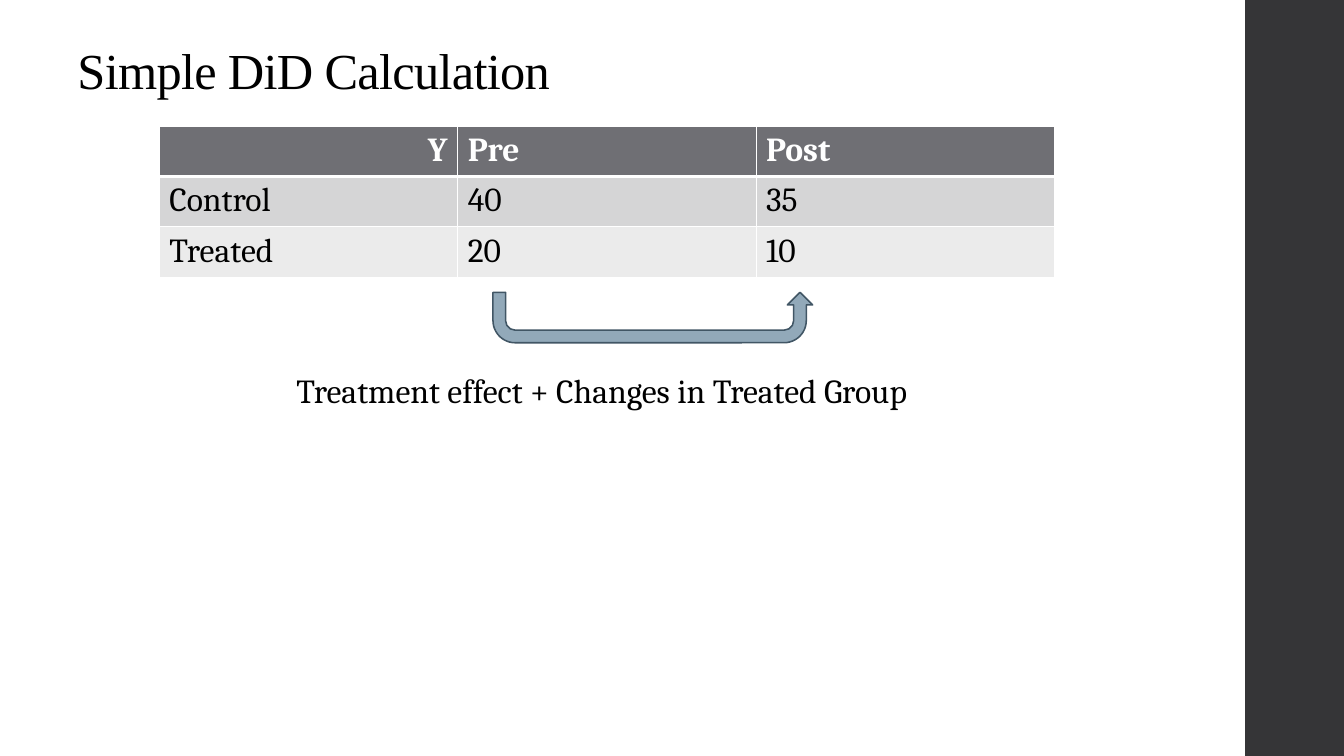
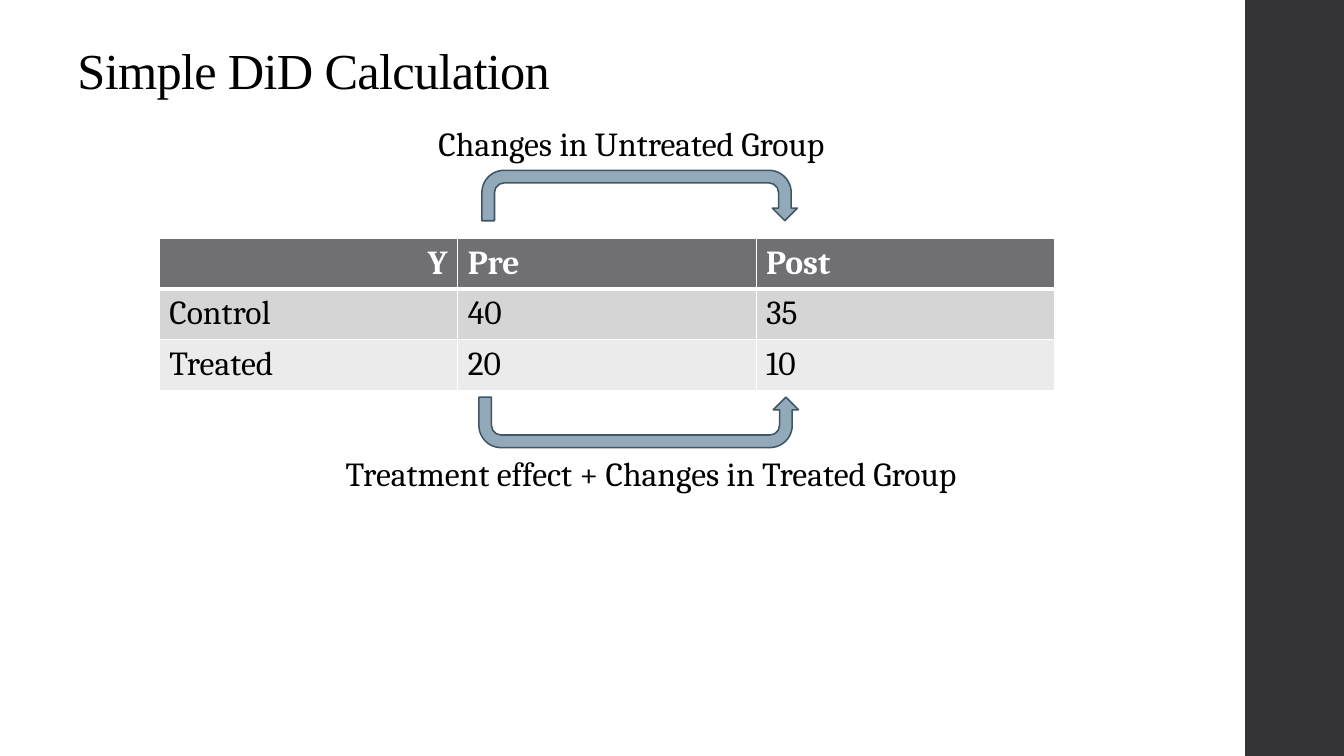
from lxml.etree import SubElement
from pptx import Presentation
from pptx.dml.color import RGBColor
from pptx.enum.shapes import MSO_SHAPE
from pptx.enum.text import MSO_ANCHOR, PP_ALIGN
from pptx.oxml.ns import qn
from pptx.util import Pt

PX = 9144  # 100 px to the inch
WIDTH, HEIGHT = 1333, 750

BLACK = RGBColor(0x00, 0x00, 0x00)
WHITE = RGBColor(0xFF, 0xFF, 0xFF)
BAND = RGBColor(0x35, 0x35, 0x37)
HEADER = RGBColor(0x6F, 0x6F, 0x74)
ROW_FILLS = [HEADER, RGBColor(0xD5, 0xD5, 0xD6), RGBColor(0xEB, 0xEB, 0xEB)]
ARROW_FILL = RGBColor(0x92, 0xA9, 0xB9)
ARROW_LINE = RGBColor(0x41, 0x56, 0x65)
TITLE_FONT, BODY_FONT = "Times New Roman", "Cambria"

TITLE = "Simple DiD Calculation"
OUTCOMES = [
    ("Y", "Pre", "Post"),
    ("Control", "40", "35"),
    ("Treated", "20", "10"),
]
TREATED = "Treatment effect + Changes in Treated Group"
UNTREATED = "Changes in Untreated Group"
TABLE_LEFT, COLUMN, ROW = 158, 296, 48
ARROW_HEIGHT = 50
ARROW_ADJUSTMENTS = (0.25, 0.25, 0.25, 0.44, 1)

# arrows: left, top, width, turned upwards; labels: text, left, top, width
SLIDES = [
    {
        "table_top": 125,
        "arrows": [(489, 290, 317, True)],
        "labels": [(TREATED, 284, 362, 728)],
    },
    {
        "table_top": 237,
        "arrows": [(475, 394, 317, True), (478, 169, 313, False)],
        "labels": [(TREATED, 333, 444, 728), (UNTREATED, 425, 117, 555)],
    },
]


def px(*lengths):
    return [length * PX for length in lengths]


def style(p, size, color=BLACK, font=BODY_FONT, bold=False):
    for r in p.runs:
        r.font.size, r.font.name, r.font.bold = Pt(size), font, bold
        r.font.color.rgb = color


def add_text(s, text, box, size=24, font=BODY_FONT):
    tf = s.shapes.add_textbox(*px(*box)).text_frame
    tf.word_wrap = True
    tf.text = text
    style(tf.paragraphs[0], size, font=font)
    return tf


def add_base(prs):
    """Add a slide with the side band and the title."""
    s = prs.slides.add_slide(prs.slide_layouts[6])
    band = s.shapes.add_shape(MSO_SHAPE.RECTANGLE, *px(1235, 0, WIDTH - 1235, HEIGHT))
    band.shadow.inherit = False
    band.fill.solid()
    band.fill.fore_color.rgb = BAND
    band.line.fill.background()

    tf = add_text(s, TITLE, (67, 37, 1142, 68), 36, TITLE_FONT)
    tf.vertical_anchor = MSO_ANCHOR.BOTTOM
    p = tf.paragraphs[0]
    p.line_spacing = 0.9
    p.runs[0].font._element.set("spc", "-50")
    return s


def add_borders(cell, top, bottom):
    tc_pr = cell._tc.get_or_add_tcPr()
    for side, width in (("L", 1), ("R", 1), ("T", top), ("B", bottom)):
        ln = SubElement(tc_pr, qn(f"a:ln{side}"), w=str(Pt(width)))
        fill = SubElement(ln, qn("a:solidFill"))
        SubElement(fill, qn("a:srgbClr"), val=str(WHITE))


def add_outcomes(s, top):
    rows, cols = len(OUTCOMES), len(OUTCOMES[0])
    box = px(TABLE_LEFT, top, cols * COLUMN, rows * ROW)
    table = s.shapes.add_table(rows, cols, *box).table
    for i, values in enumerate(OUTCOMES):
        header = i == 0
        for j, value in enumerate(values):
            cell = table.cell(i, j)
            add_borders(cell, 3 if i == 1 else 1, 3 if header else 1)
            cell.fill.solid()
            cell.fill.fore_color.rgb = ROW_FILLS[i]
            cell.text = value
            p = cell.text_frame.paragraphs[0]
            style(p, 24, WHITE if header else BLACK, bold=header)
            if header and j == 0:
                p.alignment = PP_ALIGN.RIGHT


def add_arrow(s, left, top, width, upwards):
    sp = s.shapes.add_shape(MSO_SHAPE.U_TURN_ARROW, *px(left, top, width, ARROW_HEIGHT))
    for i, value in enumerate(ARROW_ADJUSTMENTS):
        sp.adjustments[i] = value
    sp.shadow.inherit = False
    sp.fill.solid()
    sp.fill.fore_color.rgb = ARROW_FILL
    sp.line.color.rgb = ARROW_LINE
    sp.line.width = Pt(1.1)
    if upwards:
        sp.rotation = 180
        sp._element.spPr.xfrm.set("flipH", "1")


def main():
    prs = Presentation()
    prs.slide_width, prs.slide_height = px(WIDTH, HEIGHT)
    for content in SLIDES:
        s = add_base(prs)
        add_outcomes(s, content["table_top"])
        for arrow in content["arrows"]:
            add_arrow(s, *arrow)
        for text, left, top, width in content["labels"]:
            add_text(s, text, (left, top, width, 50))
    prs.save("out.pptx")


if __name__ == "__main__":
    main()
